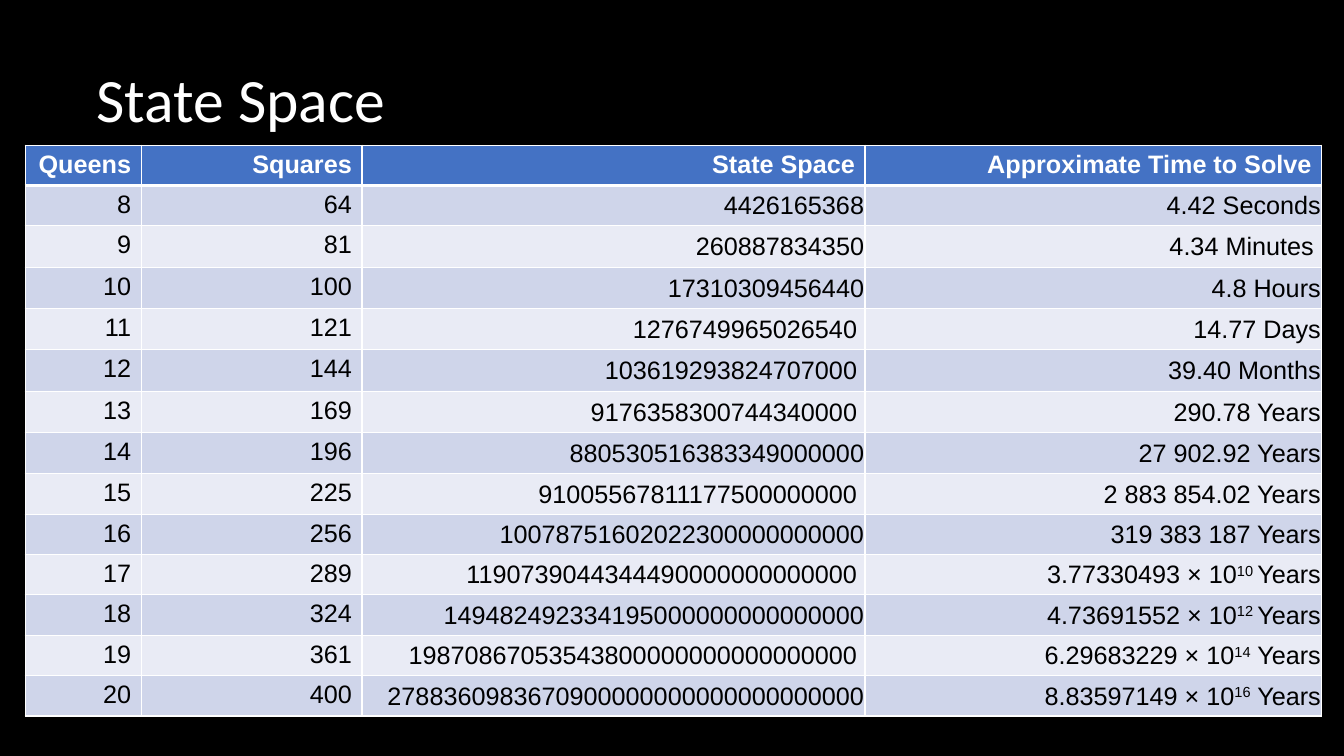
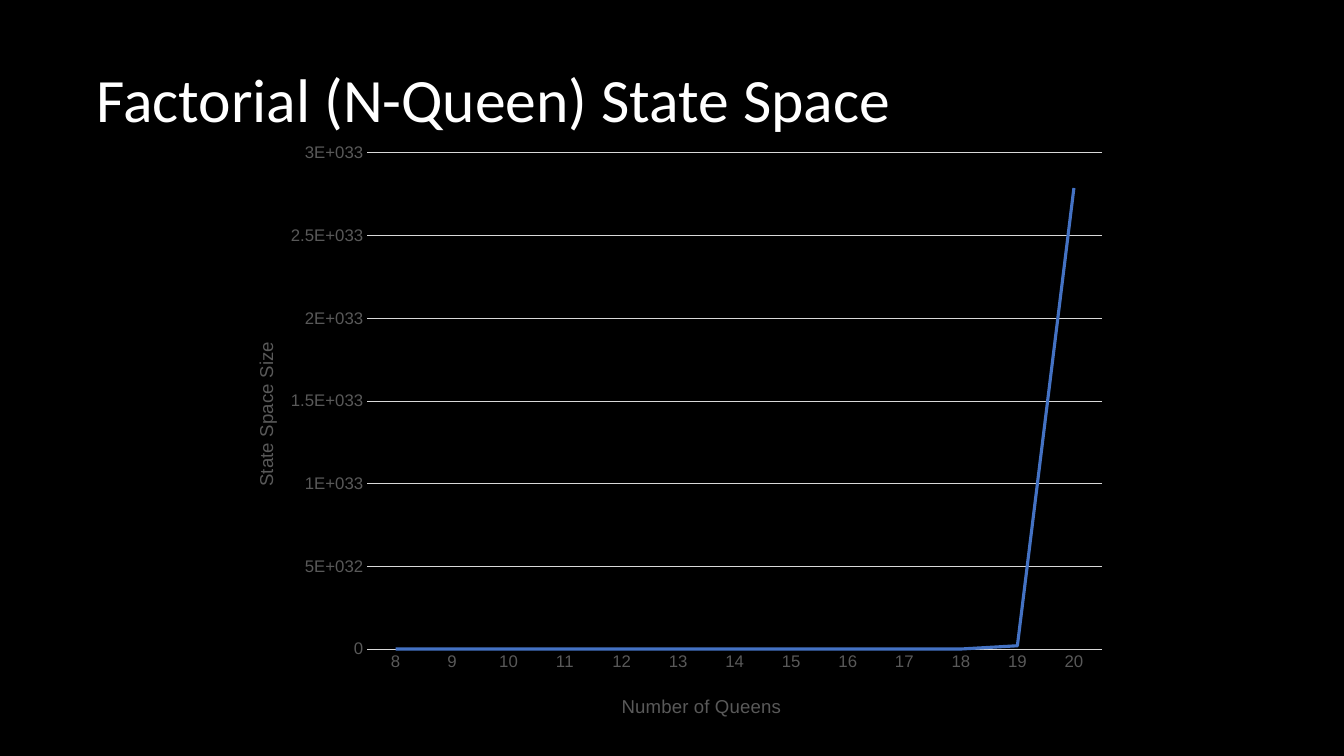
import pptx
import pptx.chart.data
import pptx.dml.color
import pptx.enum.chart
import pptx.enum.text
import pptx.oxml
import pptx.oxml.ns
import pptx.util
from lxml import etree

Inches = pptx.util.Inches
Pt = pptx.util.Pt
RGBColor = pptx.dml.color.RGBColor
qn = pptx.oxml.ns.qn

# Shared look
BLACK = RGBColor(0x00, 0x00, 0x00)
WHITE = RGBColor(0xFF, 0xFF, 0xFF)
BLUE = RGBColor(0x44, 0x72, 0xC4)
BANDS = (RGBColor(0xCF, 0xD5, 0xEA), RGBColor(0xE9, 0xEB, 0xF5))
AXIS_TEXT = RGBColor(0x59, 0x59, 0x59)
GRID = RGBColor(0xD9, 0xD9, 0xD9)
TITLE_FONT = "Calibri"
BODY_FONT = "Arial"

# Table content; text between carets is superscript
HEADINGS = ("Queens", "Squares", "State Space", "Approximate Time to Solve")
SOLUTIONS = (
    (8, "4426165368", "4.42 Seconds"),
    (9, "260887834350", "4.34 Minutes "),
    (10, "17310309456440", "4.8 Hours"),
    (11, "1276749965026540 ", "14.77 Days"),
    (12, "103619293824707000 ", "39.40 Months"),
    (13, "9176358300744340000 ", "290.78 Years"),
    (14, "880530516383349000000", "27 902.92 Years"),
    (15, "91005567811177500000000 ", "2 883 854.02 Years"),
    (16, "10078751602022300000000000", "319 383 187 Years"),
    (17, "1190739044344490000000000000 ", "3.77330493 × 10^10 ^Years"),
    (18, "149482492334195000000000000000", "4.73691552 × 10^12 ^Years"),
    (19, "19870867053543800000000000000000 ", "6.29683229 × 10^14^ Years"),
    (20, "2788360983670900000000000000000000", "8.83597149 × 10^16^ Years"),
)
COLUMN_WIDTHS = (1.15, 2.19, 4.99, 4.53)
ROW_HEIGHT, TALL_ROW_HEIGHT = 0.38, 0.41
TALL_ROWS = range(2, 8)


def style_font(font, name, size, color, bold=False):
    font.name = name
    font.size = Pt(size)
    font.bold = bold
    font.color.rgb = color


def add_titled_slide(prs, text):
    slide = prs.slides.add_slide(prs.slide_layouts[6])
    title = slide.shapes.add_textbox(
        Inches(0.86), Inches(0.29), Inches(11.5), Inches(1.45)).text_frame
    title.word_wrap = True
    title.vertical_anchor = pptx.enum.text.MSO_ANCHOR.MIDDLE
    heading = title.paragraphs[0]
    heading.text = text
    heading.line_spacing = 0.9
    style_font(heading.font, TITLE_FONT, 44, WHITE)
    return slide


def add_cell_borders(cell, top=1, bottom=1):
    properties = cell._tc.get_or_add_tcPr()
    for side, width in (("L", 1), ("R", 1), ("T", top), ("B", bottom)):
        border = etree.SubElement(properties, qn(f"a:ln{side}"), w=str(Pt(width)))
        fill = etree.SubElement(border, qn("a:solidFill"))
        etree.SubElement(fill, qn("a:srgbClr"), val=str(WHITE))


def fill_cell(cell, text, row, tight):
    is_header = row == 0
    add_cell_borders(cell, top=3 if row == 1 else 1, bottom=3 if is_header else 1)
    cell.fill.solid()
    cell.fill.fore_color.rgb = BLUE if is_header else BANDS[(row - 1) % 2]
    if tight:
        cell.margin_left = cell.margin_right = cell.margin_top = Inches(0.01)
        cell.margin_bottom = 0
        cell.vertical_anchor = pptx.enum.text.MSO_ANCHOR.MIDDLE
    entry = cell.text_frame.paragraphs[0]
    entry.alignment = pptx.enum.text.PP_ALIGN.RIGHT
    for index, part in enumerate(text.split("^")):
        run = entry.add_run()
        run.text = part
        if index % 2:
            run._r.get_or_add_rPr().set("baseline", "30000")
    style_font(entry.font, BODY_FONT, 18, WHITE if is_header else BLACK, is_header)


def add_state_table(slide):
    rows = [HEADINGS] + [(str(queens), str(queens ** 2), states, time)
                         for queens, states, time in SOLUTIONS]
    heights = [TALL_ROW_HEIGHT if row in TALL_ROWS else ROW_HEIGHT
               for row in range(len(rows))]
    table = slide.shapes.add_table(
        len(rows), len(HEADINGS), Inches(0.25), Inches(1.44),
        Inches(sum(COLUMN_WIDTHS)), Inches(sum(heights))).table
    for column, width in zip(table.columns, COLUMN_WIDTHS):
        column.width = Inches(width)
    for row, (texts, height) in enumerate(zip(rows, heights)):
        table.rows[row].height = Inches(height)
        for column, text in enumerate(texts):
            fill_cell(table.cell(row, column), text, row, row > 0 and column > 1)


def set_layout(parent, index, **fractions):
    """Place a chart part by fractions of the chart's size."""
    for previous in parent.findall(qn("c:layout")):
        parent.remove(previous)
    layout = etree.Element(qn("c:layout"))
    manual = etree.SubElement(layout, qn("c:manualLayout"))
    if "w" in fractions:
        etree.SubElement(manual, qn("c:layoutTarget"), val="inner")
    for mode in ("xMode", "yMode"):
        etree.SubElement(manual, qn(f"c:{mode}"), val="edge")
    for key, value in fractions.items():
        etree.SubElement(manual, qn(f"c:{key}"), val=str(value))
    parent.insert(index, layout)


def style_axis(axis, title, x, y, rotation=0):
    axis.major_tick_mark = axis.minor_tick_mark = pptx.enum.chart.XL_TICK_MARK.NONE
    style_font(axis.tick_labels.font, BODY_FONT, 12, AXIS_TEXT)
    caption = axis.axis_title.text_frame
    caption.text = title
    style_font(caption.paragraphs[0].font, BODY_FONT, 13.3, AXIS_TEXT)
    body = caption._txBody.find(qn("a:bodyPr"))
    body.set("rot", str(rotation * 60000))
    body.set("vert", "horz")
    set_layout(axis.axis_title._element, 1, x=x, y=y)


def style_line(line, color, width):
    line.color.rgb = color
    line.width = Pt(width)


def add_growth_chart(slide):
    data = pptx.chart.data.CategoryChartData()
    data.categories = [str(queens) for queens, _, _ in SOLUTIONS]
    data.add_series("Series 1", [float(states) for _, states, _ in SOLUTIONS])
    chart = slide.shapes.add_chart(
        pptx.enum.chart.XL_CHART_TYPE.LINE, Inches(2.22), Inches(1.34),
        Inches(8.89), Inches(5.93), data).chart
    chart.has_title = chart.has_legend = False
    style_font(chart.font, BODY_FONT, 10, BLACK)

    # Curve
    plot = chart.plots[0]
    plot.vary_by_categories = False
    growth = plot.series[0]
    growth.smooth = False
    style_line(growth.format.line, BLUE, 2.25)

    # Axes
    queens_axis, size_axis = chart.category_axis, chart.value_axis
    style_axis(queens_axis, "Number of Queens", 0.44, 0.93)
    style_line(queens_axis.format.line, GRID, 0.75)
    style_axis(size_axis, "State Space Size", 0.03, 0.34, rotation=-90)
    size_axis.format.line.fill.background()
    style_line(size_axis.major_gridlines.format.line, GRID, 0.75)
    size_axis.minimum_scale, size_axis.maximum_scale = 0, 3e33
    size_axis.major_unit = 5e32
    plot_area = chart._chartSpace.find(".//" + qn("c:plotArea"))
    set_layout(plot_area, 0, x=0.16, y=0.03, w=0.82, h=0.83)


def main():
    prs = pptx.Presentation()
    prs.slide_width, prs.slide_height = Inches(13.33), Inches(7.5)
    backdrop = prs.slide_master.background.fill
    backdrop.solid()
    backdrop.fore_color.rgb = BLACK

    add_state_table(add_titled_slide(prs, "State Space"))
    add_growth_chart(add_titled_slide(prs, "Factorial (N-Queen) State Space"))
    prs.save("out.pptx")


if __name__ == "__main__":
    main()
